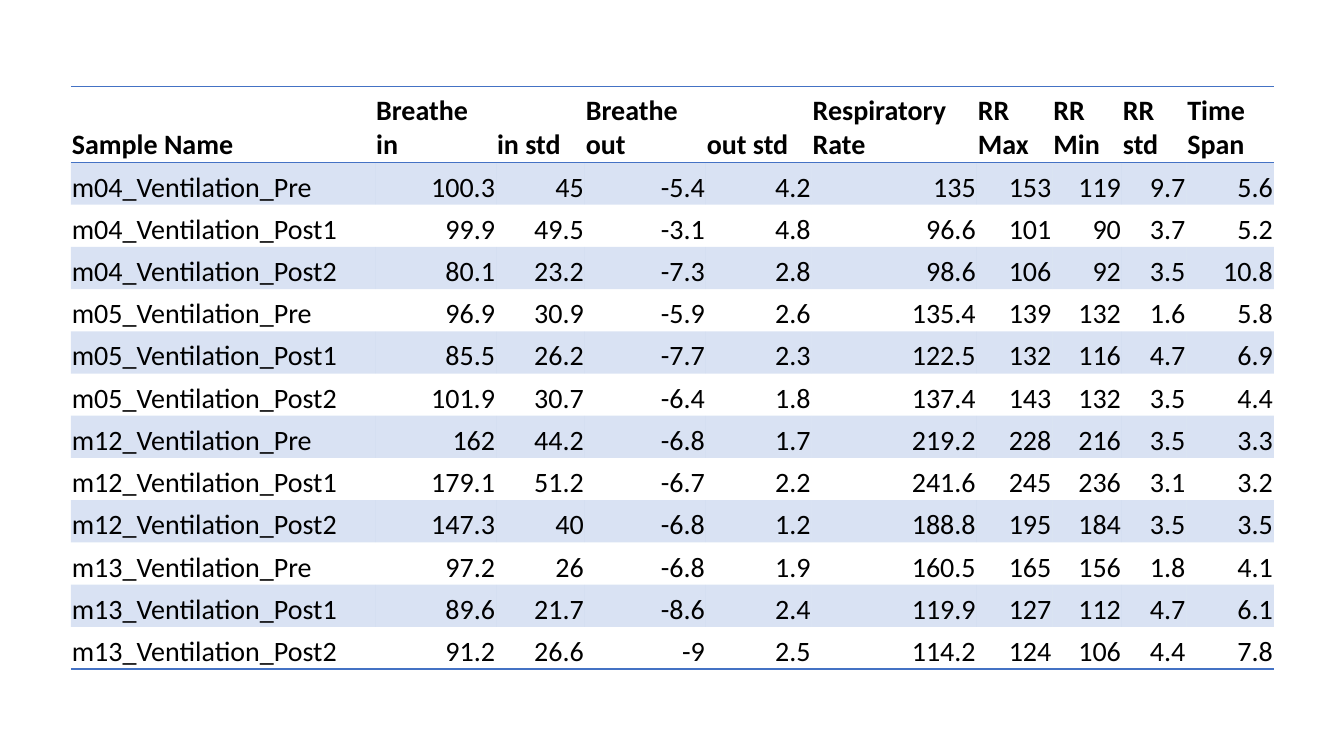
from lxml.etree import SubElement
from pptx import Presentation
from pptx.dml.color import RGBColor
from pptx.enum.text import MSO_ANCHOR, PP_ALIGN
from pptx.oxml.ns import qn
from pptx.util import Pt

BLUE = RGBColor(0x44, 0x72, 0xC4)
BLACK = RGBColor(0x00, 0x00, 0x00)
PLAIN_STYLE = "{2D5ABB26-0587-4C30-8999-92F81FD0307C}"

HEADER = ["Sample Name", "Breathe in", "in std", "Breathe out", "out std",
          "Respiratory Rate", "RR Max", "RR Min", "RR std", "Time Span"]
SAMPLES = """\
m04_Ventilation_Pre 100.3 45 -5.4 4.2 135 153 119 9.7 5.6
m04_Ventilation_Post1 99.9 49.5 -3.1 4.8 96.6 101 90 3.7 5.2
m04_Ventilation_Post2 80.1 23.2 -7.3 2.8 98.6 106 92 3.5 10.8
m05_Ventilation_Pre 96.9 30.9 -5.9 2.6 135.4 139 132 1.6 5.8
m05_Ventilation_Post1 85.5 26.2 -7.7 2.3 122.5 132 116 4.7 6.9
m05_Ventilation_Post2 101.9 30.7 -6.4 1.8 137.4 143 132 3.5 4.4
m12_Ventilation_Pre 162 44.2 -6.8 1.7 219.2 228 216 3.5 3.3
m12_Ventilation_Post1 179.1 51.2 -6.7 2.2 241.6 245 236 3.1 3.2
m12_Ventilation_Post2 147.3 40 -6.8 1.2 188.8 195 184 3.5 3.5
m13_Ventilation_Pre 97.2 26 -6.8 1.9 160.5 165 156 1.8 4.1
m13_Ventilation_Post1 89.6 21.7 -8.6 2.4 119.9 127 112 4.7 6.1
m13_Ventilation_Post2 91.2 26.6 -9 2.5 114.2 124 106 4.4 7.8"""
rows = [HEADER] + [line.split() for line in SAMPLES.splitlines()]
COL_WIDTHS = [217.4, 86.4, 63.4, 86.4, 75.6, 118, 54, 49.7, 46, 62.5]
HEADER_HEIGHT, ROW_HEIGHT = 54, 30.17


def add_border(cell, tag):
    ln = SubElement(cell._tc.get_or_add_tcPr(), qn(tag), w=str(Pt(1)))
    fill = SubElement(ln, qn("a:solidFill"))
    SubElement(fill, qn("a:srgbClr"), val=str(BLUE))


prs = Presentation()
prs.slide_width, prs.slide_height = Pt(960), Pt(540)
s = prs.slides.add_slide(prs.slide_layouts[6])

# Table frame
last = len(rows) - 1
frame = s.shapes.add_table(len(rows), len(HEADER), Pt(50.6), Pt(62),
                           Pt(sum(COL_WIDTHS)), Pt(HEADER_HEIGHT + last * ROW_HEIGHT))
table = frame.table
table._tbl.tblPr.find(qn("a:tableStyleId")).text = PLAIN_STYLE
for col, width in zip(table.columns, COL_WIDTHS):
    col.width = Pt(width)

# Cells
for i, values in enumerate(rows):
    table.rows[i].height = Pt(ROW_HEIGHT if i else HEADER_HEIGHT)
    for j, value in enumerate(values):
        cell = table.cell(i, j)
        cell.margin_left = cell.margin_right = cell.margin_top = Pt(0.72)
        cell.margin_bottom = 0
        cell.vertical_anchor = MSO_ANCHOR.BOTTOM

        p = cell.text_frame.paragraphs[0]
        p.text = value
        p.alignment = PP_ALIGN.RIGHT if i and j else PP_ALIGN.LEFT
        font = p.runs[0].font
        font.name, font.size, font.bold = "Calibri", Pt(20), i == 0
        font.color.rgb = BLACK

        # Rules above and below the header and below the last row
        if i == 0:
            add_border(cell, "a:lnT")
        if i in (0, last):
            add_border(cell, "a:lnB")

        # Translucent band on every other sample
        if i % 2:
            cell.fill.solid()
            cell.fill.fore_color.rgb = BLUE
            color = cell._tc.tcPr.find(qn("a:solidFill")).find(qn("a:srgbClr"))
            SubElement(color, qn("a:alpha"), val="20000")
        else:
            cell.fill.background()

prs.save("out.pptx")
